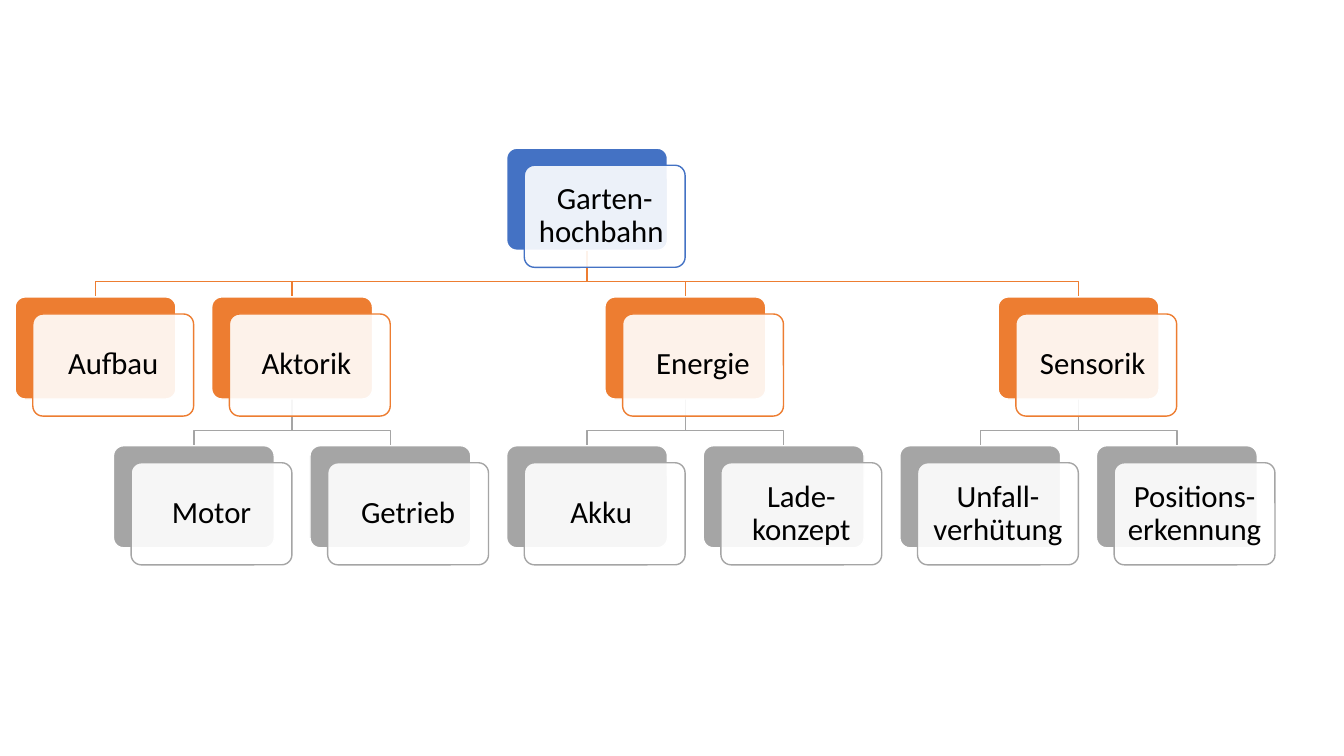
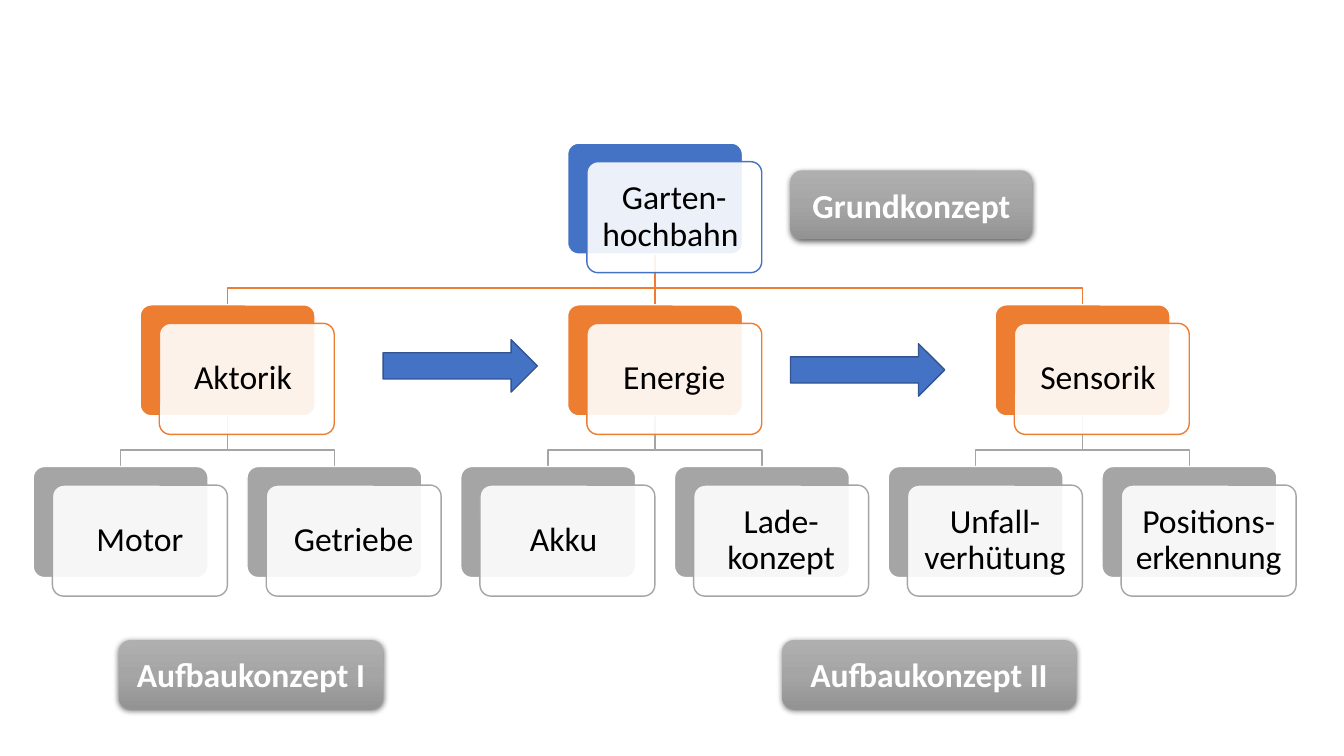
from collections import namedtuple

from pptx import Presentation
from pptx.dml.color import RGBColor
from pptx.enum.shapes import MSO_CONNECTOR as Link, MSO_SHAPE as Shape
from pptx.enum.text import MSO_ANCHOR as Anchor, PP_ALIGN as Align
from pptx.oxml import parse_xml
from pptx.oxml.ns import nsdecls
from pptx.util import Inches, Pt

Theme = namedtuple("Theme", "levels white text arrow arrow_edge label font line label_size")
THEME = Theme(
    levels=("4472C4", "ED7D31", "A5A5A5"),
    white="FFFFFF",
    text="000000",
    arrow="4472C4",
    arrow_edge="325491",
    label=((0, "AFAFAF"), (50, "A5A5A5"), (100, "939393")),
    font="Calibri",
    line=1,
    label_size=24,
)

ROOT = "Garten-\vhochbahn "
ENERGY = ("Energie", ["Akku ", "Lade-konzept"])
SENSORS = ("Sensorik ", ["Unfall-verhütung", "Positions-erkennung"])

SLIDES = [
    {
        "branches": [("Aufbau", []), ("Aktorik ", ["Motor", "Getrieb"]), ENERGY, SENSORS],
        "left": 0.15, "top": 1.47, "column": 1.95, "size": 22,
        "arrows": [], "labels": [],
    },
    {
        "branches": [("Aktorik ", ["Motor", "Getriebe"]), ENERGY, SENSORS],
        "left": 0.33, "top": 1.42, "column": 2.12, "size": 24,
        "arrows": [(3.8, 3.37), (7.84, 3.41)],
        "labels": [
            ("Grundkonzept", 7.84, 1.69, 2.4),
            ("Aufbaukonzept I", 1.18, 6.35, 2.62),
            ("Aufbaukonzept II", 7.76, 6.35, 2.91),
        ],
    },
]

ARROW_SIZE = (1.53, 0.52)
LABEL_HEIGHT = 0.68
BOX_SHARE = 9 / 11
HEIGHT, ROW, SHIFT_X, SHIFT_Y, BEND, INSET = 0.635, 0.925, 0.11, 0.106, 0.095, 0.05


def color(value):
    return RGBColor.from_string(value)


def add_box(page, kind, area, fill=None, edge=None):
    box = page.shapes.add_shape(kind, *map(Inches, area))
    box.shadow.inherit = False
    if fill:
        box.fill.solid()
        box.fill.fore_color.rgb = color(fill)
    if edge:
        style_line(box.line, edge)
    else:
        box.line.fill.background()
    return box


def style_line(line, value):
    line.color.rgb = color(value)
    line.width = Pt(THEME.line)


def write(box, text, **font):
    frame = box.text_frame
    frame.word_wrap = True
    frame.vertical_anchor = Anchor.MIDDLE
    para = frame.paragraphs[0]
    para.text = text
    para.alignment = Align.CENTER
    tint = font.pop("tint")
    for span in para.runs:
        span.font.color.rgb = color(tint)
        for name, value in {"name": THEME.font, **font}.items():
            setattr(span.font, name, value)
    return frame, para


def arrange(branches):
    nodes, links = [], []
    next_branch = next_leaf = 0
    for text, leaves in branches:
        reach = (len(leaves) - 1) / 2
        if leaves:
            next_leaf = max(next_leaf, next_branch - reach)
            column = next_leaf + reach
        else:
            column = next_branch
        nodes.append((text, 1, column))
        for leaf in leaves:
            nodes.append((leaf, 2, next_leaf))
            links.append((1, column, next_leaf))
            next_leaf += 1
        next_branch = column + 1
    tops = [column for _, level, column in nodes if level == 1]
    center = (tops[0] + tops[-1]) / 2
    links += [(0, center, column) for column in tops]
    return [(ROOT, 0, center)] + nodes, links


def add_link(page, start, bend, end, tint):
    if abs(start[0] - end[0]) < 0.01:
        line = page.shapes.add_connector(Link.STRAIGHT, *map(Inches, start + end))
        line._element.spPr.append(parse_xml(f"<a:effectLst {nsdecls('a')}/>"))
    else:
        points = [(start[0], bend), (end[0], bend), end]
        path = page.shapes.build_freeform(*map(Inches, start), scale=1.0)
        path.add_line_segments([tuple(map(Inches, point)) for point in points], close=False)
        line = path.convert_to_shape()
        line.fill.background()
        line.shadow.inherit = False
    style_line(line.line, tint)


def add_card(page, text, area, tint, size):
    left, top, width, height = area
    back = add_box(page, Shape.ROUNDED_RECTANGLE, area, tint, THEME.white)
    shifted = (left + width * SHIFT_X, top + width * SHIFT_Y, width, height)
    front = add_box(page, Shape.ROUNDED_RECTANGLE, shifted, THEME.white, tint)
    for box in (back, front):
        box.adjustments[0] = 0.1
    shade = front._element.spPr.find(".//{*}solidFill/{*}srgbClr")
    shade.append(parse_xml(f'<a:alpha {nsdecls("a")} val="90000"/>'))
    frame, para = write(front, text, size=Pt(size), tint=THEME.text)
    para.line_spacing = 0.9
    for side in ("left", "right", "top", "bottom"):
        setattr(frame, f"margin_{side}", Inches(width * INSET))


def add_tree(page, branches, left, top, column, size):
    width = column * BOX_SHARE
    height, row = width * HEIGHT, width * ROW

    def place(level, position):
        return left + position * column, top + level * row

    nodes, links = arrange(branches)
    for level, parent, child in reversed(links):
        start_x, start_y = place(level, parent)
        end_x, end_y = place(level + 1, child)
        add_link(page, (start_x + width / 2, start_y + height), end_y - width * BEND,
                 (end_x + width / 2, end_y), THEME.levels[level + 1])
    for text, level, position in nodes:
        add_card(page, text, (*place(level, position), width, height), THEME.levels[level], size)


def add_label(page, text, left, top, width):
    box = add_box(page, Shape.ROUNDED_RECTANGLE, (left, top, width, LABEL_HEIGHT))
    stops = "".join(f'<a:gs pos="{at * 1000}"><a:srgbClr val="{tint}"/></a:gs>'
                    for at, tint in THEME.label)
    properties = box._element.spPr
    properties.find("{*}ln").addprevious(parse_xml(
        f'<a:gradFill {nsdecls("a")} rotWithShape="1"><a:gsLst>{stops}</a:gsLst>'
        '<a:lin ang="5400000" scaled="0"/></a:gradFill>'))
    properties.find("{*}effectLst").append(parse_xml(
        f'<a:outerShdw {nsdecls("a")} blurRad="{Pt(4.5)}" dist="{Pt(1.5)}" dir="5400000" '
        'algn="ctr" rotWithShape="0"><a:srgbClr val="000000"><a:alpha val="63000"/>'
        '</a:srgbClr></a:outerShdw>'))
    write(box, text, size=Pt(THEME.label_size), bold=True, tint=THEME.white)


def main():
    deck = Presentation()
    deck.slide_width, deck.slide_height = Inches(13.33), Inches(7.5)
    for content in SLIDES:
        page = deck.slides.add_slide(deck.slide_layouts[6])
        add_tree(page, *(content[key] for key in ("branches", "left", "top", "column", "size")))
        for spot in content["arrows"]:
            add_box(page, Shape.RIGHT_ARROW, spot + ARROW_SIZE, THEME.arrow, THEME.arrow_edge)
        for label in content["labels"]:
            add_label(page, *label)
    deck.save("out.pptx")


if __name__ == "__main__":
    main()
